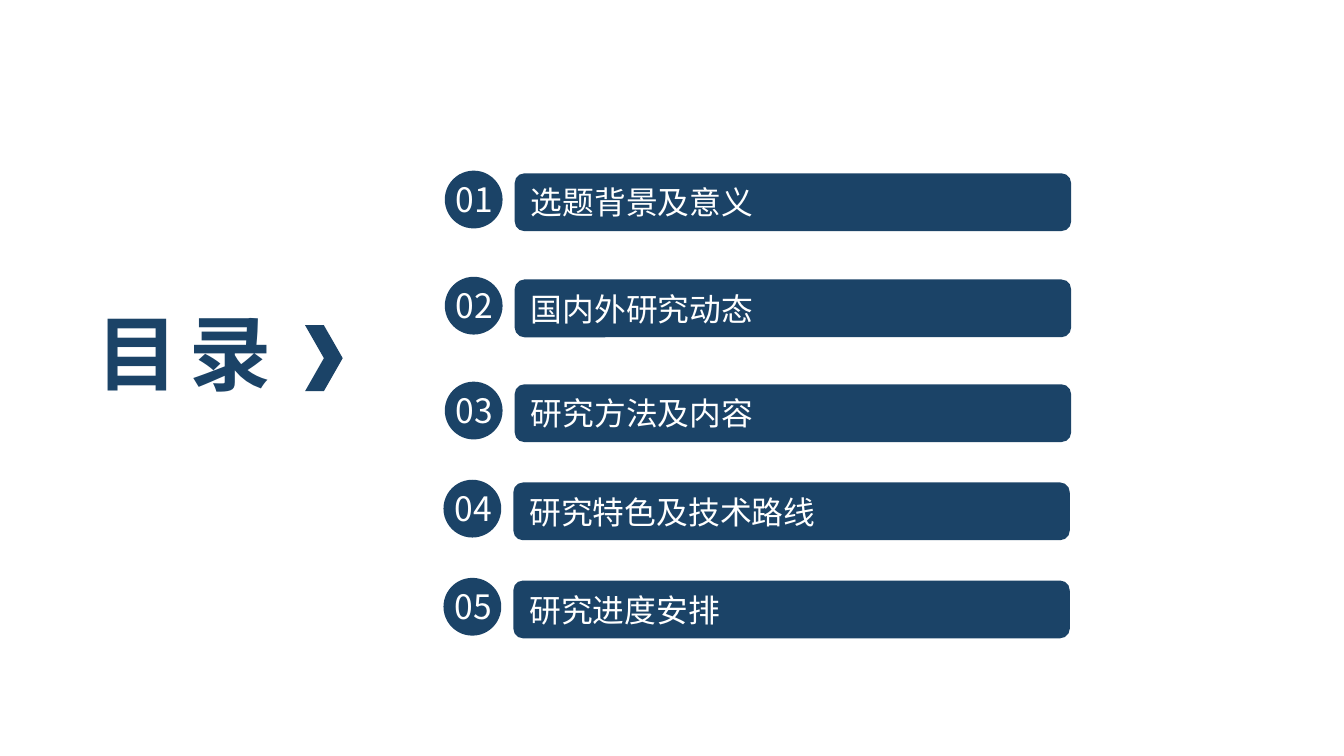
from pptx import Presentation
from pptx.dml.color import RGBColor
from pptx.enum.shapes import MSO_SHAPE
from pptx.enum.text import MSO_ANCHOR, MSO_AUTO_SIZE, PP_ALIGN
from pptx.oxml.ns import qn
from pptx.util import Inches, Pt

NAVY = RGBColor(0x1B, 0x43, 0x67)
WHITE = RGBColor(0xFF, 0xFF, 0xFF)
FONT = "Noto Sans CJK SC"

LEFT, CENTER = PP_ALIGN.LEFT, PP_ALIGN.CENTER
MIDDLE = MSO_ANCHOR.MIDDLE
NO_AUTOFIT = MSO_AUTO_SIZE.NONE
BAR = MSO_SHAPE.ROUNDED_RECTANGLE
CIRCLE = MSO_SHAPE.OVAL
CHEVRON = MSO_SHAPE.CHEVRON

# Each agenda entry: left and top of its row, and its heading
AGENDA = [
    (3.31, 1.27, "选题背景及意义"),
    (3.31, 2.06, "国内外研究动态"),
    (3.31, 2.84, "研究方法及内容"),
    (3.30, 3.57, "研究特色及技术路线"),
    (3.30, 4.30, "研究进度安排"),
]
ROW_HEIGHT = 0.43


def write_text(shape, text, size, color, alignment=LEFT, bold=False, spacing=0):
    frame = shape.text_frame
    frame.word_wrap = True
    frame.auto_size = NO_AUTOFIT
    frame.vertical_anchor = MIDDLE
    frame.text = text
    paragraph = frame.paragraphs[0]
    paragraph.alignment = alignment
    font = paragraph.font
    font.name, font.size, font.bold = FONT, Pt(size), bold
    font.color.rgb = color
    # East Asian typeface and letter spacing (hundredths of a point)
    properties = paragraph._p.pPr.find(qn("a:defRPr"))
    east_asian = properties.makeelement(qn("a:ea"), {"typeface": FONT})
    properties.find(qn("a:latin")).addnext(east_asian)
    if spacing:
        properties.set("spc", str(round(spacing * 100)))


def add_navy_shape(shapes, kind, left, top, width, height):
    shape = shapes.add_shape(
        kind, Inches(left), Inches(top), Inches(width), Inches(height))
    shape.shadow.inherit = False
    shape.fill.solid()
    shape.fill.fore_color.rgb = NAVY
    shape.line.fill.background()
    return shape


def add_heading(slide, left, top, width, height):
    title = slide.shapes.title
    title.left, title.top = Inches(left), Inches(top)
    title.width, title.height = Inches(width), Inches(height)
    write_text(title, "目 录", 44, NAVY, bold=True, spacing=-2.2)
    add_navy_shape(slide.shapes, CHEVRON, left + 1.65, top + 0.22, 0.28, 0.49)


def add_agenda_row(slide, left, top, height, number, heading):
    # Heading bar
    bar = add_navy_shape(
        slide.shapes, BAR, left + 0.52, top + 0.02, 4.14, height)
    write_text(bar, heading, 17, WHITE)
    # Numbered badge
    badge = slide.shapes.add_group_shape()
    add_navy_shape(badge.shapes, CIRCLE, left, top, height, height)
    label = badge.shapes.add_textbox(
        Inches(left - 0.04), Inches(top + 0.01), Inches(0.52), Inches(0.4))
    write_text(label, f"{number:02d}", 18, WHITE, CENTER)


def main():
    presentation = Presentation()
    # Widescreen page, 16:9
    presentation.slide_width = Inches(10)
    presentation.slide_height = presentation.slide_width * 9 // 16
    title_only = presentation.slide_layouts[5]
    slide = presentation.slides.add_slide(title_only)
    add_heading(slide, 0.62, 2.2, 2.35, 0.84)
    for number, (left, top, heading) in enumerate(AGENDA, start=1):
        add_agenda_row(slide, left, top, ROW_HEIGHT, number, heading)
    presentation.save("out.pptx")


if __name__ == "__main__":
    main()
